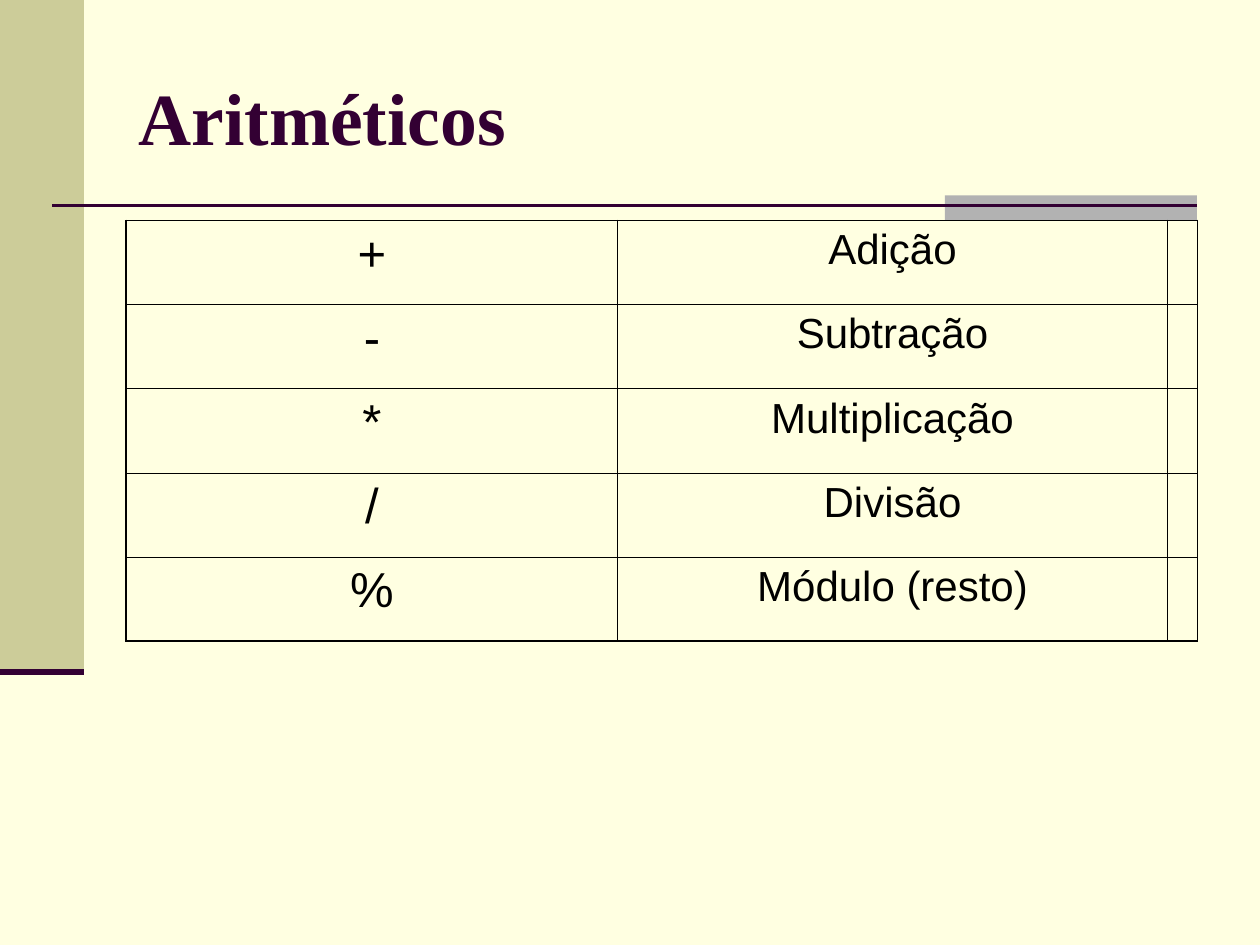
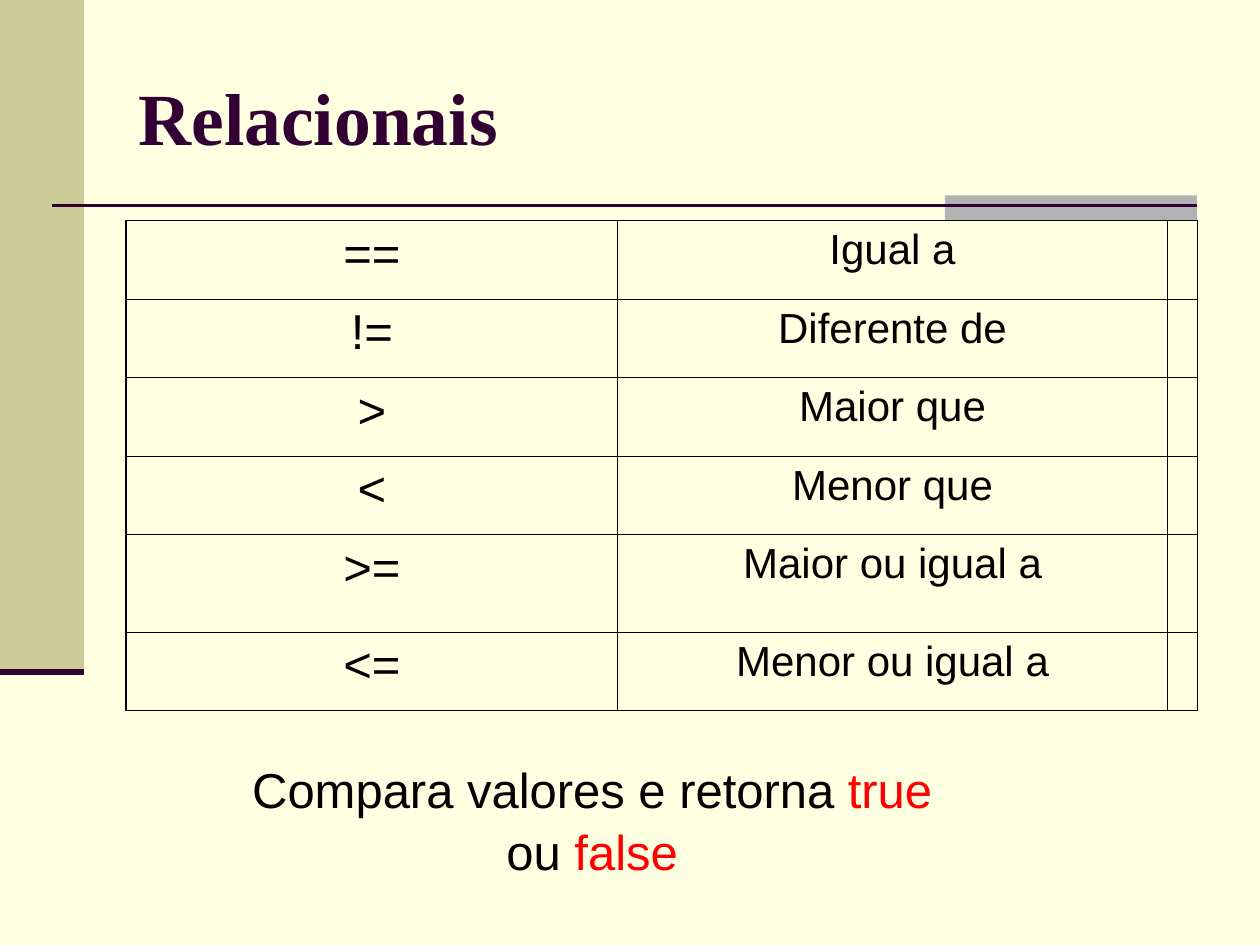
from dataclasses import dataclass

from lxml.etree import SubElement
from pptx import Presentation
from pptx.dml.color import RGBColor
from pptx.enum.shapes import MSO_CONNECTOR, MSO_SHAPE
from pptx.enum.text import MSO_ANCHOR, MSO_AUTO_SIZE, PP_ALIGN
from pptx.oxml import parse_xml
from pptx.oxml.ns import nsdecls, qn
from pptx.util import Pt


@dataclass(frozen=True)
class Theme:
    background: str = "FFFFE1"
    band: str = "CCCC99"
    tab: str = "B2B2B2"
    accent: str = "330033"
    text: str = "000000"
    highlight: str = "FF0000"
    title_font: str = "Times New Roman"
    body_font: str = "Arial"
    title_size: float = 42
    symbol_size: float = 28
    meaning_size: float = 24
    note_size: float = 28
    outer_border: float = 1.08
    inner_border: float = 0.45


class SlideBuilder:
    def __init__(self, deck, theme):
        self.deck = deck
        self.theme = theme
        self.page = None
        fill = deck.slide_master.background.fill
        fill.solid()
        fill.fore_color.rgb = RGBColor.from_string(theme.background)

    def start(self, title):
        self.page = self.deck.slides.add_slide(self.deck.slide_layouts[5])
        self.rectangle(0, 0, 48, 384, self.theme.band)
        self.rectangle(540, 111.6, 144, 14.4, self.theme.tab)
        self.line(30, 684, 117.5, 1.5)
        self.line(0, 48, 384, 3.5)
        self.title(title)

    def format(self, span, font, size, color, bold=False):
        span.font.name = font
        span.font.size = Pt(size)
        span.font.bold = bold
        span.font.color.rgb = RGBColor.from_string(color)

    def rectangle(self, left, top, width, height, color):
        box = self.page.shapes.add_shape(
            MSO_SHAPE.RECTANGLE, Pt(left), Pt(top), Pt(width), Pt(height))
        box.shadow.inherit = False
        box.fill.solid()
        box.fill.fore_color.rgb = RGBColor.from_string(color)
        box.line.fill.background()

    def line(self, start, end, height, weight):
        rule = self.page.shapes.add_connector(
            MSO_CONNECTOR.STRAIGHT, Pt(start), Pt(height), Pt(end), Pt(height))
        rule.line.color.rgb = RGBColor.from_string(self.theme.accent)
        rule.line.width = Pt(weight)
        SubElement(rule._element.spPr, qn("a:effectLst"))

    def title(self, text):
        box = self.page.shapes.title
        box.left, box.top, box.width, box.height = Pt(72), Pt(21.6), Pt(612), Pt(90)
        frame = box.text_frame
        frame.text = text
        frame.auto_size = MSO_AUTO_SIZE.NONE
        frame.vertical_anchor = MSO_ANCHOR.MIDDLE
        para = frame.paragraphs[0]
        para.alignment = PP_ALIGN.LEFT
        self.format(para.runs[0], self.theme.title_font, self.theme.title_size,
                    self.theme.accent, bold=True)

    def borders(self, cell, outer_edges):
        properties = cell._tc.get_or_add_tcPr()
        for position, edge in enumerate("LRTB"):
            weight = self.theme.outer_border if edge in outer_edges else self.theme.inner_border
            properties.insert(position, parse_xml(
                f'<a:ln{edge} {nsdecls("a")} w="{Pt(weight)}"><a:solidFill>'
                f'<a:srgbClr val="{self.theme.text}"/></a:solidFill></a:ln{edge}>'))

    def operator_table(self, operators, row_heights):
        widths = (281, 314, 17)
        sizes = (self.theme.symbol_size, self.theme.meaning_size)
        table = self.page.shapes.add_table(
            len(operators), len(widths), Pt(72), Pt(126),
            Pt(sum(widths)), Pt(sum(row_heights))).table
        table.first_row = table.horz_banding = False
        for column, width in zip(table.columns, widths):
            column.width = Pt(width)
        last_row, last_column = len(operators) - 1, len(widths) - 1
        for row, (operator, height) in enumerate(zip(operators, row_heights)):
            table.rows[row].height = Pt(height)
            for column in range(len(widths)):
                cell = table.cell(row, column)
                cell.fill.background()
                at_edge = {"L": column == 0, "R": column == last_column,
                           "T": row == 0, "B": row == last_row}
                self.borders(cell, [edge for edge in at_edge if at_edge[edge]])
            for column, (text, size) in enumerate(zip(operator, sizes)):
                frame = table.cell(row, column).text_frame
                frame.text = text
                para = frame.paragraphs[0]
                para.alignment = PP_ALIGN.CENTER
                self.format(para.runs[0], self.theme.body_font, size, self.theme.text)

    def note(self, left, top, width, height, parts):
        box = self.page.shapes.add_textbox(Pt(left), Pt(top), Pt(width), Pt(height))
        frame = box.text_frame
        frame.word_wrap = True
        para = frame.paragraphs[0]
        para.alignment = PP_ALIGN.CENTER
        para.line_spacing = 1.06
        for text, color in parts:
            span = para.add_run()
            span.text = text
            self.format(span, self.theme.body_font, self.theme.note_size, color)


def main():
    deck = Presentation()
    deck.slide_width, deck.slide_height = Pt(720), Pt(540)
    theme = Theme()
    builder = SlideBuilder(deck, theme)

    builder.start("Aritméticos")
    arithmetic = [("+", "Adição"), ("-", "Subtração"), ("*", "Multiplicação"),
                  ("/", "Divisão"), ("%", "Módulo (resto)")]
    builder.operator_table(arithmetic, [48.1] * len(arithmetic))

    builder.start("Relacionais")
    relational = [("==", "Igual a"), ("!=", "Diferente de"), (">", "Maior que"),
                  ("<", "Menor que"), (">=", "Maior ou igual a"),
                  ("<=", "Menor ou igual a")]
    builder.operator_table(relational, [44.85] * 4 + [55.85, 44.85])
    builder.note(133.2, 428.4, 410.4, 74.9, [
        ("Compara valores e retorna ", theme.text), ("true", theme.highlight),
        (" ou ", theme.text), ("false", theme.highlight)])

    deck.save("out.pptx")


if __name__ == "__main__":
    main()
